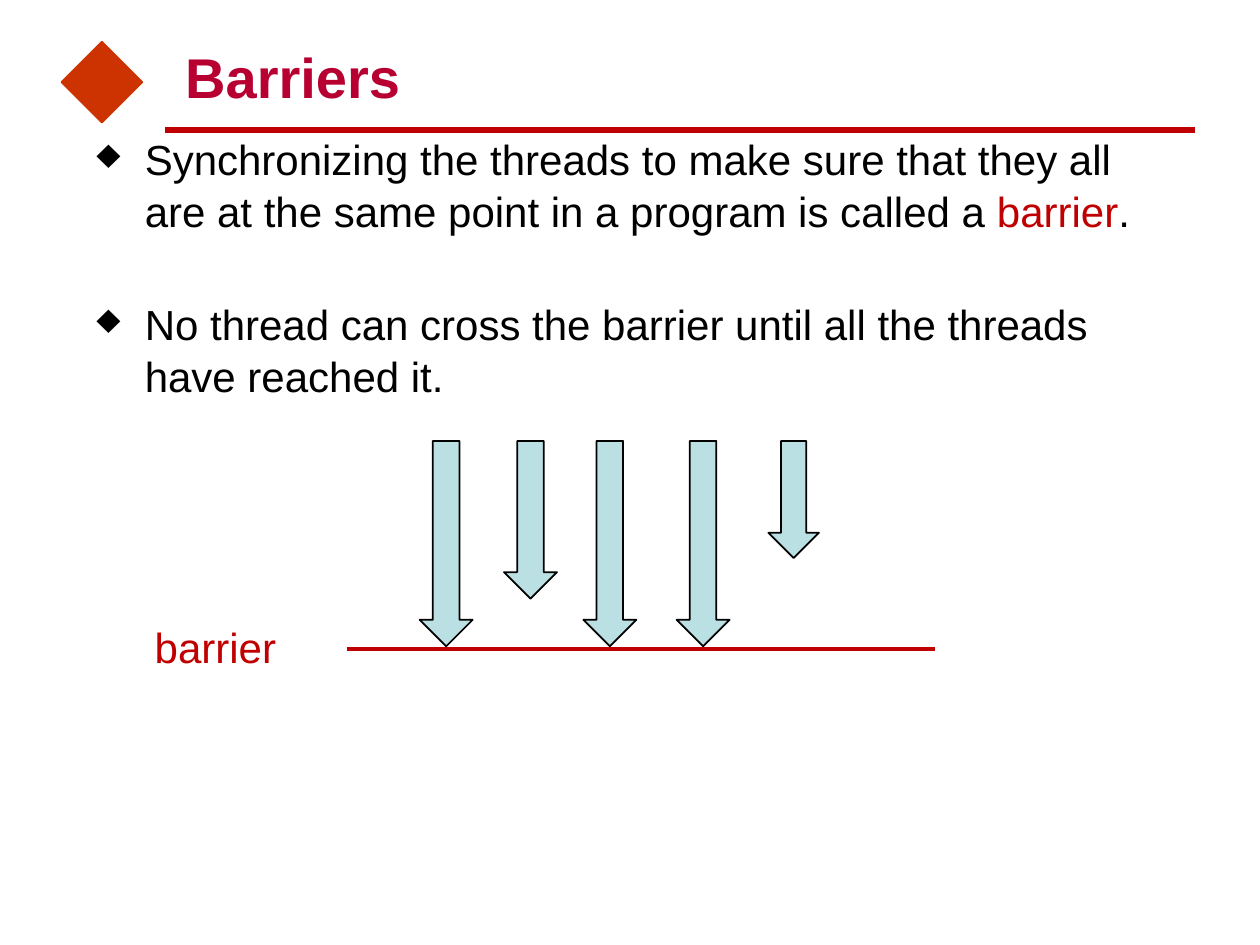
from dataclasses import dataclass

from lxml import etree
from pptx import Presentation
from pptx.dml.color import RGBColor
from pptx.enum.shapes import MSO_CONNECTOR, MSO_SHAPE
from pptx.enum.text import MSO_ANCHOR, MSO_AUTO_SIZE, PP_ALIGN
from pptx.oxml.ns import qn
from pptx.util import Cm, Pt

LINE = MSO_CONNECTOR.STRAIGHT
ARROW = MSO_SHAPE.DOWN_ARROW
MARK = MSO_SHAPE.DIAMOND
LEFT = PP_ALIGN.LEFT
BOTTOM = MSO_ANCHOR.BOTTOM
NO_FIT = MSO_AUTO_SIZE.NONE


@dataclass(frozen=True)
class Theme:
    font: str = "Arial"
    title: RGBColor = RGBColor(0xB7, 0x00, 0x31)
    ink: RGBColor = RGBColor(0, 0, 0)
    red: RGBColor = RGBColor(0xC0, 0, 0)
    mark: RGBColor = RGBColor(0xCC, 0x33, 0)
    arrow: RGBColor = RGBColor(0xBB, 0xE0, 0xE3)
    head: Pt = Pt(32)
    body: Pt = Pt(24)


THEME = Theme()
INDENT = Cm(0.97)
POINTS = [
    [("Synchronizing the threads to make sure that they all are at the "
      "same point in a program is called a ", THEME.ink),
     ("barrier", THEME.red), (".", THEME.ink)],
    [("No thread can cross the barrier until all the threads have "
      "reached it.", THEME.ink)],
]
ARROW_TOP = 8.89
# left, width and height of each thread, in cm
THREADS = [(8.46, 1.07, 4.14), (10.16, 1.07, 3.18), (11.76, 1.07, 4.14),
           (13.64, 1.07, 4.14), (15.49, 1.02, 2.36)]


def style(font, size, color, bold=False):
    font.name = THEME.font
    font.size = size
    font.bold = bold
    font.color.rgb = color


def add_title(slide, text):
    title = slide.shapes.title
    title.left, title.top = Cm(3.48), Cm(0.64)
    title.width, title.height = Cm(20.32), Cm(1.7)
    frame = title.text_frame
    frame.text = text
    frame.auto_size = NO_FIT
    frame.vertical_anchor = BOTTOM
    para = frame.paragraphs[0]
    para.alignment = LEFT
    style(para.runs[0].font, THEME.head, THEME.title, bold=True)


def add_rule(slide, left, right, y, weight):
    rule = slide.shapes.add_connector(LINE, Cm(left), Cm(y), Cm(right), Cm(y))
    rule.line.color.rgb = THEME.red
    rule.line.width = Pt(weight)
    etree.SubElement(rule._element.spPr, qn("a:effectLst"))


def add_shape(slide, kind, box, fill, edge):
    shape = slide.shapes.add_shape(kind, *map(Cm, box))
    shape.shadow.inherit = False
    shape.fill.solid()
    shape.fill.fore_color.rgb = fill
    shape.line.color.rgb = edge
    shape.line.width = Pt(1)


def add_bullet(para):
    props = para._p.get_or_add_pPr()
    props.set("marL", str(INDENT))
    props.set("indent", str(-INDENT))
    etree.SubElement(props, qn("a:buChar"), char="♦")


def add_points(slide, points):
    box = slide.shapes.add_textbox(Cm(1.7), Cm(2.54), Cm(22.23), Cm(10.54))
    frame = box.text_frame
    frame.word_wrap = True
    for i, parts in enumerate(points):
        para = frame.add_paragraph() if i else frame.paragraphs[0]
        add_bullet(para)
        para.line_spacing = 1.03
        if i:
            para.space_before = Pt(35)
        for text, color in parts:
            run = para.add_run()
            run.text = text
            style(run.font, THEME.body, color)


def add_label(slide, text):
    box = slide.shapes.add_textbox(Cm(2.87), Cm(12.4), Cm(2.95), Cm(1.27))
    frame = box.text_frame
    frame.text = text
    frame.word_wrap = False
    style(frame.paragraphs[0].runs[0].font, THEME.body, THEME.red)


def main():
    deck = Presentation()
    deck.slide_width, deck.slide_height = Cm(25.4), Cm(19.05)
    slide = deck.slides.add_slide(deck.slide_layouts[5])
    add_rule(slide, 3.33, 24.08, 2.62, 3)
    add_shape(slide, MARK, (1.24, 0.84, 1.63, 1.63), THEME.mark, THEME.mark)
    add_title(slide, "Barriers")
    add_points(slide, POINTS)
    add_rule(slide, 6.99, 18.85, 13.08, 2.25)
    add_label(slide, "barrier")
    for left, width, height in THREADS:
        add_shape(slide, ARROW, (left, ARROW_TOP, width, height),
                  THEME.arrow, THEME.ink)
    deck.save("out.pptx")


if __name__ == "__main__":
    main()
